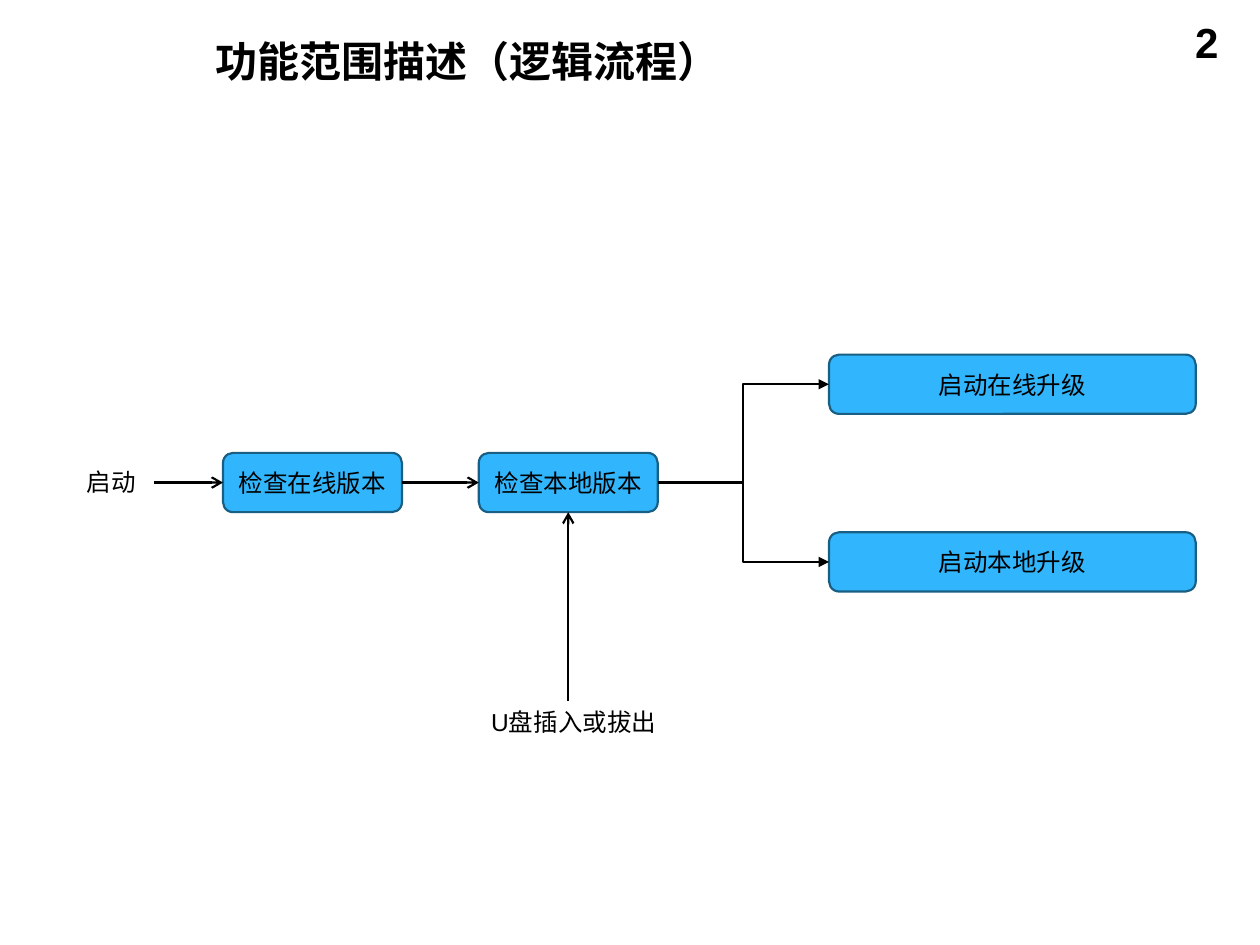
"""Builds the upgrade logic flow slide."""
from lxml import etree
from pptx import Presentation
from pptx.dml.color import RGBColor
from pptx.enum.shapes import MSO_CONNECTOR, MSO_SHAPE
from pptx.enum.text import MSO_ANCHOR, MSO_AUTO_SIZE, PP_ALIGN
from pptx.oxml.ns import qn
from pptx.util import Inches, Pt

ROUNDED = MSO_SHAPE.ROUNDED_RECTANGLE
STRAIGHT, ELBOW = MSO_CONNECTOR.STRAIGHT, MSO_CONNECTOR.ELBOW
MIDDLE = MSO_ANCHOR.MIDDLE
LEFT, CENTER, RIGHT = PP_ALIGN.LEFT, PP_ALIGN.CENTER, PP_ALIGN.RIGHT
NO_FIT, GROW = MSO_AUTO_SIZE.NONE, MSO_AUTO_SIZE.SHAPE_TO_FIT_TEXT
LEFT_SIDE, BOTTOM_SIDE, RIGHT_SIDE = 1, 2, 3

COLORS = {"text": "000000", "fill": "31B6FD", "border": "195F84"}
LINE_WIDTH = Pt(1.25)
STEP_HEIGHT, LABEL_HEIGHT = 0.47, 0.34
MAIN_ROW, ONLINE_ROW, LOCAL_ROW = 3.83, 3.05, 4.46

TITLE = "功能范围描述（逻辑流程）"
PAGE_NUMBER = "2"
START = "启动"
USB_EVENT = "U盘插入或拔出"
CHECK_ONLINE, CHECK_LOCAL = "检查在线版本", "检查本地版本"
UPGRADE_ONLINE, UPGRADE_LOCAL = "启动在线升级", "启动本地升级"

STEPS = [
    (CHECK_ONLINE, 1.77, MAIN_ROW, 1.42),
    (CHECK_LOCAL, 3.8, MAIN_ROW, 1.42),
    (UPGRADE_ONLINE, 6.58, ONLINE_ROW, 2.91),
    (UPGRADE_LOCAL, 6.58, LOCAL_ROW, 2.91),
]
LABELS = [
    (START, 0.59, MAIN_ROW, 0.63),
    (USB_EVENT, 3.8, 5.73, 1.51),
]
FLOWS = [
    (START, CHECK_ONLINE, STRAIGHT, "arrow"),
    (CHECK_ONLINE, CHECK_LOCAL, STRAIGHT, "arrow"),
    (CHECK_LOCAL, UPGRADE_ONLINE, ELBOW, "triangle"),
    (CHECK_LOCAL, UPGRADE_LOCAL, ELBOW, "triangle"),
]


def rgb(name):
    return RGBColor.from_string(COLORS[name])


def write(frame, text, font_name, size, align=LEFT, bold=False):
    frame.text = text
    paragraph = frame.paragraphs[0]
    paragraph.alignment = align
    font = paragraph.font
    font.name, font.size, font.bold = font_name, Pt(size), bold
    font.color.rgb = rgb("text")


def add_text(slide, text, box, size, align=LEFT, bold=False, fit=NO_FIT):
    textbox = slide.shapes.add_textbox(*map(Inches, box))
    frame = textbox.text_frame
    frame.word_wrap = True
    frame.auto_size = fit
    write(frame, text, "Arial", size, align, bold)
    return textbox


def add_step(slide, text, left, middle, width):
    box = (left, middle - STEP_HEIGHT / 2, width, STEP_HEIGHT)
    step = slide.shapes.add_shape(ROUNDED, *map(Inches, box))
    step.shadow.inherit = False
    step.fill.solid()
    step.fill.fore_color.rgb = rgb("fill")
    step.line.color.rgb = rgb("border")
    step.line.width = LINE_WIDTH
    step.text_frame.vertical_anchor = MIDDLE
    write(step.text_frame, text, "Calibri", 14, CENTER)
    return step


def add_flow(slide, kind, head, start=(0, 0)):
    x, y = map(Inches, start)
    flow = slide.shapes.add_connector(kind, x, y, x, y)
    flow.line.color.rgb = rgb("text")
    flow.line.width = LINE_WIDTH
    etree.SubElement(flow.line._get_or_add_ln(), qn("a:tailEnd"), type=head)
    etree.SubElement(flow._element.spPr, qn("a:effectLst"))
    return flow


def main():
    prs = Presentation()
    prs.slide_width, prs.slide_height = Inches(10), Inches(7.5)
    slide = prs.slides.add_slide(prs.slide_layouts[5])

    title = slide.shapes.title
    title.left, title.top, title.width, title.height = map(Inches, (1.61, 0.21, 8.19, 0.55))
    title.text_frame.auto_size = NO_FIT
    title.text_frame.vertical_anchor = MIDDLE
    write(title.text_frame, TITLE, "Arial", 24, bold=True)
    add_text(slide, PAGE_NUMBER, (7.44, 0.08, 2.33, 0.52), 24, RIGHT, True)

    nodes = {step[0]: add_step(slide, *step) for step in STEPS}
    for text, left, middle, width in LABELS:
        box = (left, middle - LABEL_HEIGHT / 2, width, LABEL_HEIGHT)
        nodes[text] = add_text(slide, text, box, 14, fit=GROW)

    for source, target, kind, head in FLOWS:
        flow = add_flow(slide, kind, head)
        flow.begin_connect(nodes[source], RIGHT_SIDE)
        flow.end_connect(nodes[target], LEFT_SIDE)
    usb_flow = add_flow(slide, STRAIGHT, "arrow", (4.51, 5.56))
    usb_flow.end_connect(nodes[CHECK_LOCAL], BOTTOM_SIDE)

    prs.save("out.pptx")


if __name__ == "__main__":
    main()
